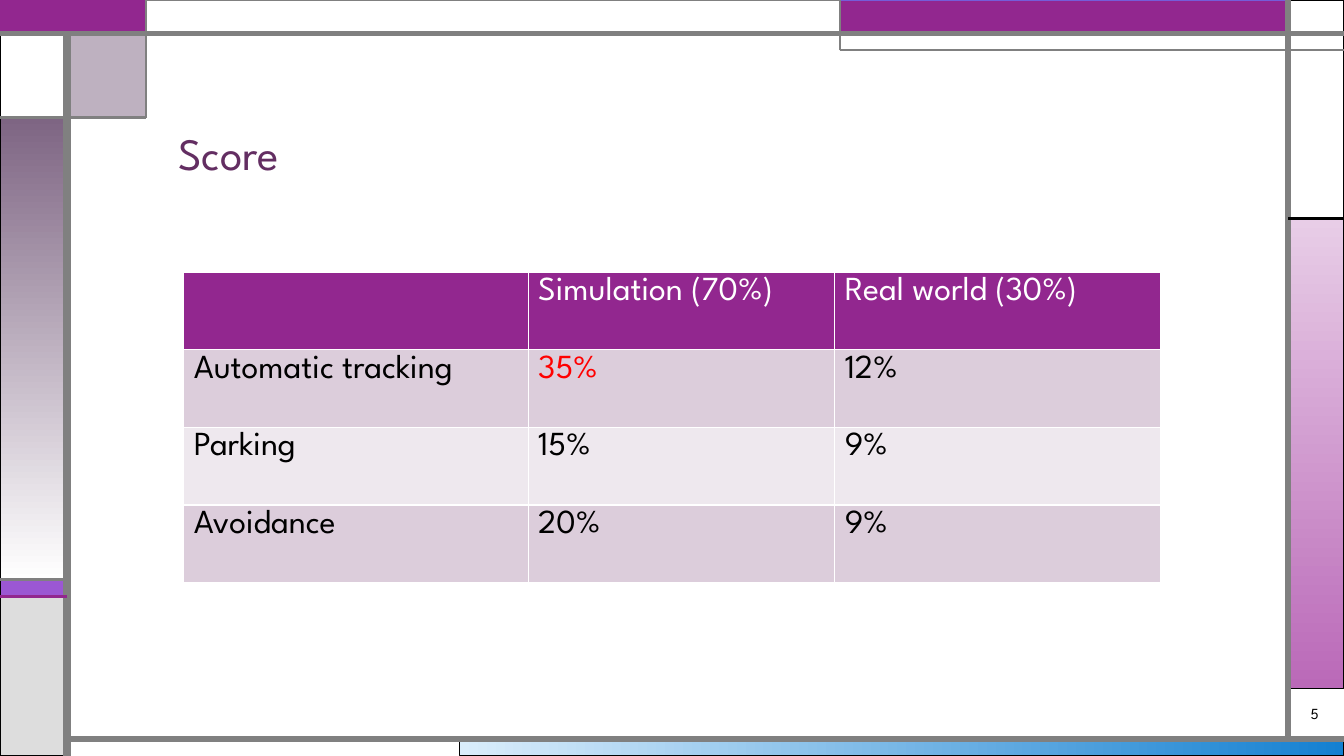
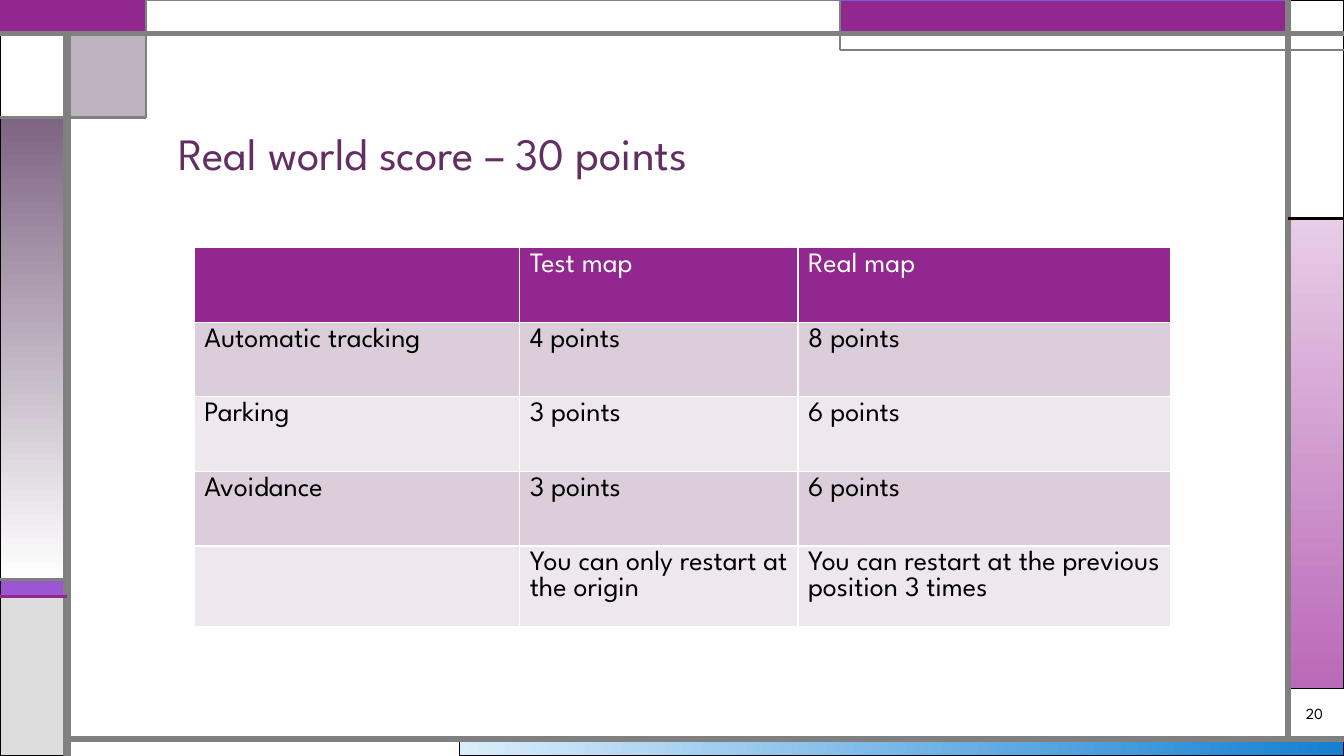
import pptx
import pptx.util
import pptx.dml.color
import pptx.enum.shapes
import pptx.enum.text
import pptx.oxml
import pptx.oxml.ns

RGB = pptx.dml.color.RGBColor
Pt = pptx.util.Pt
PX = 9525  # EMU per px, 96 px to the inch

# Colours
WHITE = RGB(0xFF, 0xFF, 0xFF)
BLACK = RGB(0x00, 0x00, 0x00)
RED = RGB(0xFF, 0x00, 0x00)
GREY = RGB(0x80, 0x80, 0x80)
PALE_GREY = RGB(0xDD, 0xDD, 0xDD)
PURPLE = RGB(0x92, 0x27, 0x8F)
VIOLET = RGB(0x9B, 0x57, 0xD3)
INDIGO = RGB(0x75, 0x5D, 0xD9)
MAUVE = RGB(0x7E, 0x65, 0x83)
PLUM = RGB(0x63, 0x2E, 0x62)
PALE_PINK = RGB(0xE8, 0xCD, 0xE7)
PINK = RGB(0xBA, 0x69, 0xB8)
PALE_BLUE = RGB(0xDA, 0xED, 0xFB)
BLUE = RGB(0x14, 0x80, 0xD1)
BAND_DARK = RGB(0xDC, 0xCD, 0xDB)
BAND_LIGHT = RGB(0xEE, 0xE8, 0xEE)

FONT = "League Spartan"

# Frame grid
W, H = 1280, 720
LEFT, RIGHT = 64, 1227
TOP, BOTTOM = 32, 704
CORNER_X, CORNER_Y = 139, 112
TAB_X, TAB_Y = 800, 48
STRIPE_Y, STRIPE_END = 552, 568
PANEL_Y, PANEL_END = 208, 656
RIBBON_X = 438

# x1, y1, x2, y2, fill (a pair is a gradient), line colour, line width
PANELS = [
    (RIBBON_X, BOTTOM, W, H, (PALE_BLUE, BLUE), BLACK, 0.75),
    (RIGHT, PANEL_Y, W, PANEL_END, (PALE_PINK, PINK), BLACK, 0.75),
    (0, STRIPE_Y, LEFT, STRIPE_END, VIOLET, BLACK, 0.75),
    (0, STRIPE_END, LEFT, H, PALE_GREY, BLACK, 0.75),
    (RIGHT, 0, W, PANEL_Y, WHITE, BLACK, 0.75),
    (TAB_X, 0, RIGHT, TOP, PURPLE, INDIGO, 0.75),
    (LEFT, TOP, CORNER_X, CORNER_Y, MAUVE, BLACK, 0.75),
    (0, CORNER_Y, LEFT, STRIPE_Y, (MAUVE, WHITE), BLACK, 0.75),
    (0, TOP, LEFT, CORNER_Y, WHITE, BLACK, 0.75),
    (0, 0, CORNER_X, TOP, PURPLE, PURPLE, 1.5),
    (CORNER_X, 0, TAB_X, TOP, WHITE, GREY, 0.75),
]

# x1, y1, x2, y2, colour, width
RULES = [
    (LEFT, H, LEFT, TOP, GREY, 6),
    (LEFT, BOTTOM, W, BOTTOM, GREY, 4.5),
    (RIGHT, BOTTOM, RIGHT, 0, GREY, 4.5),
    (0, TOP, W, TOP, GREY, 3),
    (W, TAB_Y, TAB_X, TAB_Y, GREY, 1.5),
    (TAB_X, TAB_Y, TAB_X, 0, GREY, 1.5),
    (RIGHT, PANEL_Y, W, PANEL_Y, BLACK, 2.25),
    (CORNER_X, 0, CORNER_X, CORNER_Y, GREY, 1.5),
    (CORNER_X, CORNER_Y, 0, CORNER_Y, GREY, 2.25),
    (LEFT, STRIPE_Y, 0, STRIPE_Y, GREY, 2.25),
    (LEFT, STRIPE_END, 0, STRIPE_END, PURPLE, 2.25),
]


def px(*lengths):
    return [n * PX for n in lengths]


def style_text(p, size, color):
    p.font.name = FONT
    p.font.size = Pt(size)
    p.font.bold = False
    p.font.color.rgb = color


def add_panel(shapes, x1, y1, x2, y2, fill, line, width):
    rect = pptx.enum.shapes.MSO_SHAPE.RECTANGLE
    sp = shapes.add_shape(rect, *px(x1, y1, x2 - x1, y2 - y1))
    sp.shadow.inherit = False
    sp.line.color.rgb = line
    sp.line.width = Pt(width)
    if isinstance(fill, RGB):
        sp.fill.solid()
        sp.fill.fore_color.rgb = fill
        if fill == MAUVE:
            # Half-transparent corner square
            clr = sp._element.spPr.find(".//" + pptx.oxml.ns.qn("a:srgbClr"))
            clr.append(pptx.oxml.parse_xml(
                f'<a:alpha {pptx.oxml.ns.nsdecls("a")} val="50000"/>'))
    else:
        sp.fill.gradient()
        # Gradients run along the longer side
        sp.fill.gradient_angle = 0 if x2 - x1 > y2 - y1 else 270
        for stop, color in zip(sp.fill.gradient_stops, fill):
            stop.color.rgb = color


def add_rule(shapes, x1, y1, x2, y2, color, width):
    straight = pptx.enum.shapes.MSO_CONNECTOR.STRAIGHT
    cx = shapes.add_connector(straight, *px(x1, y1, x2, y2))
    cx.line.color.rgb = color
    cx.line.width = Pt(width)
    cx._element.spPr.append(pptx.oxml.parse_xml(
        f'<a:effectLst {pptx.oxml.ns.nsdecls("a")}/>'))


def add_frame(slide):
    shapes = slide.shapes.add_group_shape().shapes
    for panel in PANELS:
        add_panel(shapes, *panel)
    for rule in RULES:
        add_rule(shapes, *rule)


def add_title(slide, text, x, y, w, h):
    sp = slide.shapes.title
    sp.left, sp.top, sp.width, sp.height = px(x, y, w, h)
    tf = sp.text_frame
    tf.text = text
    tf.auto_size = pptx.enum.text.MSO_AUTO_SIZE.NONE
    tf.vertical_anchor = pptx.enum.text.MSO_ANCHOR.BOTTOM
    p = tf.paragraphs[0]
    p.alignment = pptx.enum.text.PP_ALIGN.LEFT
    p.line_spacing = 0.9
    style_text(p, 32, PLUM)


def add_page_number(slide, number, x, y, w, h):
    tf = slide.shapes.add_textbox(*px(x, y, w, h)).text_frame
    tf.word_wrap = True
    tf.vertical_anchor = pptx.enum.text.MSO_ANCHOR.MIDDLE
    p = tf.paragraphs[0]
    p.text = str(number)
    p.alignment = pptx.enum.text.PP_ALIGN.CENTER
    style_text(p, 11, BLACK)


def add_cell_borders(cell):
    tc_pr = cell._tc.get_or_add_tcPr()
    for side in ("lnL", "lnR", "lnT", "lnB"):
        tc_pr.append(pptx.oxml.parse_xml(
            f'<a:{side} {pptx.oxml.ns.nsdecls("a")} w="{Pt(1)}"><a:solidFill>'
            f'<a:srgbClr val="{WHITE}"/></a:solidFill></a:{side}>'))


def add_score_table(slide, x, y, widths, heights, rows, size, highlight=None):
    frame = slide.shapes.add_table(
        len(heights), len(widths), *px(x, y, sum(widths), sum(heights)))
    table = frame.table
    table.horz_banding = False
    for column, width in zip(table.columns, widths):
        column.width = width * PX
    for row, height in zip(table.rows, heights):
        row.height = height * PX
    for i, values in enumerate(rows):
        for j, value in enumerate(values):
            cell = table.cell(i, j)
            add_cell_borders(cell)
            cell.fill.solid()
            if i == 0:
                fill, color = PURPLE, WHITE
            else:
                fill = BAND_DARK if i % 2 else BAND_LIGHT
                color = RED if (i, j) == highlight else BLACK
            cell.fill.fore_color.rgb = fill
            p = cell.text_frame.paragraphs[0]
            p.text = value
            style_text(p, size, color)


def add_score_slide(prs, title, number, **table):
    slide = prs.slides.add_slide(prs.slide_layouts[5])
    add_frame(slide)
    add_title(slide, title, 160, 56, 1008, 120)
    add_page_number(slide, number, 1224, 663, 56, 33)
    add_score_table(slide, **table)


def main():
    prs = pptx.Presentation()
    prs.slide_width, prs.slide_height = px(W, H)

    # Overall score
    add_score_slide(
        prs, "Score", 5, x=175, y=259, size=24, highlight=(1, 1),
        widths=[328, 292, 310], heights=[74] * 4,
        rows=[
            ("", "Simulation (70%)", "Real world (30%)"),
            ("Automatic tracking", "35%", "12%"),
            ("Parking", "15%", "9%"),
            ("Avoidance", "20%", "9%"),
        ])

    # Real world score
    add_score_slide(
        prs, "Real world score – 30 points", 20, x=185, y=236, size=20,
        widths=[310, 265, 355], heights=[71] * 4 + [77],
        rows=[
            ("", "Test map", "Real map"),
            ("Automatic tracking", "4 points", "8 points"),
            ("Parking", "3 points", "6 points"),
            ("Avoidance", "3 points", "6 points"),
            ("", "You can only restart at the origin",
             "You can restart at the previous position 3 times"),
        ])

    prs.save("out.pptx")


if __name__ == "__main__":
    main()
